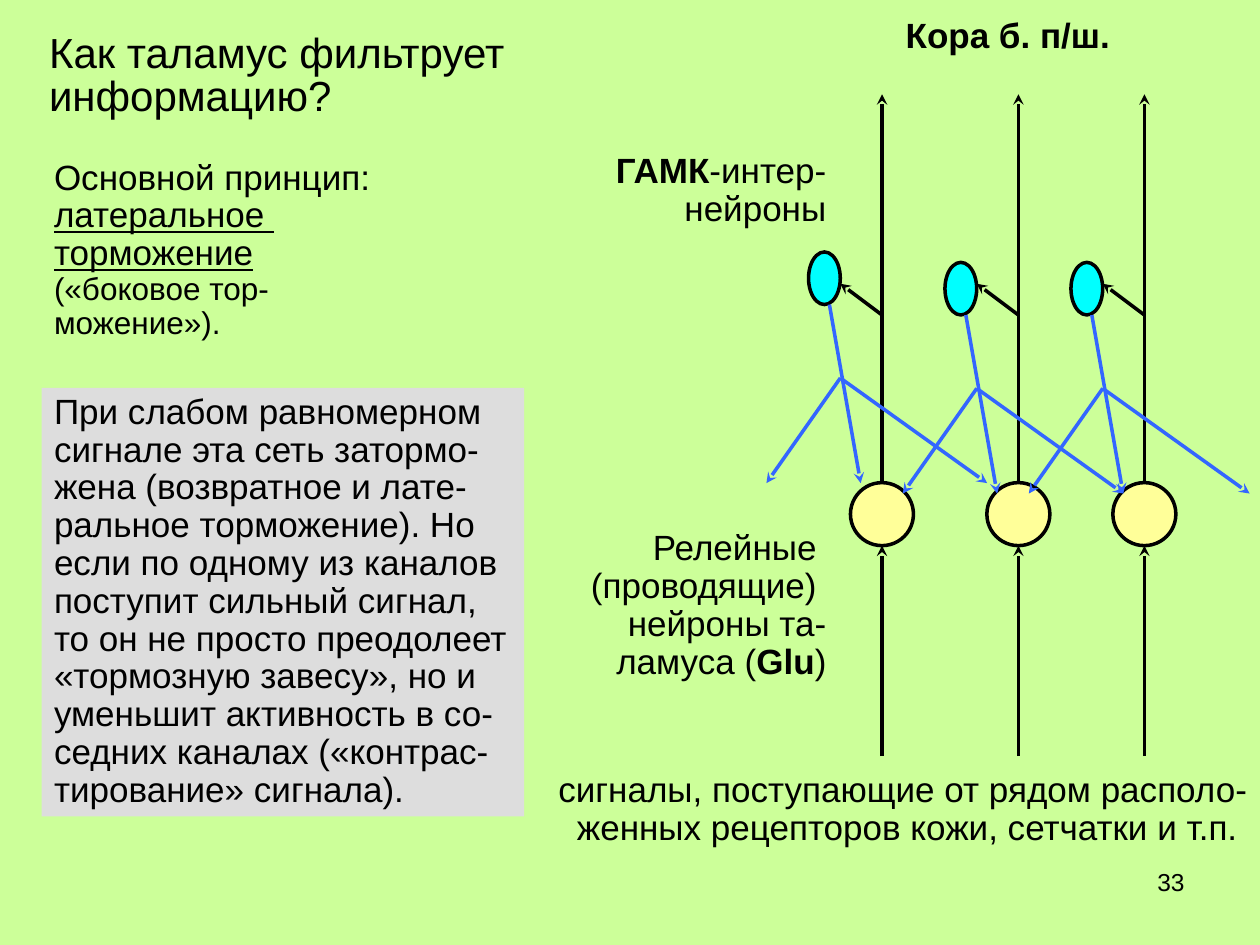
"""Builds a slide on how the thalamus filters information by lateral inhibition."""
from lxml import etree
from pptx import Presentation
from pptx.dml.color import RGBColor
from pptx.enum.shapes import MSO_CONNECTOR, MSO_SHAPE
from pptx.enum.text import MSO_ANCHOR, PP_ALIGN
from pptx.oxml.ns import qn
from pptx.util import Cm, Pt

STRAIGHT = MSO_CONNECTOR.STRAIGHT
OVAL = MSO_SHAPE.OVAL
TOP = MSO_ANCHOR.TOP
LEFT, RIGHT = PP_ALIGN.LEFT, PP_ALIGN.RIGHT

COLOURS = {
    "background": "CCFF99", "ink": "000000", "relay": "FFFF99",
    "interneuron": "00FFFF", "inhibition": "3366FF", "panel": "DDDDDD",
}

PLAIN, BOLD, UNDERLINE = "plain", "bold", "underline"

TEXTS = [
    {"at": (18.21, 17.35, 5.92, 1.32), "align": RIGHT, "spacing": 1.0,
     "paras": [(14, [("33", PLAIN)])]},
    {"at": (0.74, 0.56, 10.03, 1.98), "align": LEFT, "spacing": 0.85,
     "paras": [(24, [("Как таламус фильтрует", PLAIN)]),
               (24, [("информацию?", PLAIN)])]},
    {"at": (0.84, 3.1, 6.88, 3.91), "align": LEFT, "spacing": 0.9,
     "paras": [(20, [("Основной принцип:", PLAIN)]),
               (20, [("латеральное ", UNDERLINE)]),
               (20, [("торможение", UNDERLINE)]),
               (18, [("(«боковое тор-", PLAIN)]),
               (18, [("можение»).", PLAIN)])]},
    {"at": (10.59, 15.44, 14.81, 1.78), "align": RIGHT, "spacing": 0.9,
     "paras": [(20, [("сигналы, поступающие от рядом располо-", PLAIN)]),
               (20, [("женных рецепторов кожи, сетчатки и т.п. ", PLAIN)])]},
    {"at": (11.63, 10.57, 5.28, 3.3), "align": RIGHT, "spacing": 0.9,
     "paras": [(20, [("Релейные ", PLAIN)]),
               (20, [("(проводящие) ", PLAIN)]),
               (20, [("нейроны та-ламуса (", PLAIN), ("Glu", BOLD), (")", PLAIN)])]},
    {"at": (11.63, 2.97, 5.28, 1.78), "align": RIGHT, "spacing": 0.9,
     "paras": [(20, [("ГАМК", BOLD), ("-интер-", PLAIN)]),
               (20, [("нейроны", PLAIN)])]},
    {"at": (17.35, 0.25, 5.28, 1.02), "align": RIGHT, "spacing": 0.9,
     "paras": [(20, [("Кора б. п/ш.", BOLD)])]},
    {"at": (0.84, 7.82, 9.73, 8.64), "align": LEFT, "spacing": 0.9, "fill": "panel",
     "paras": [(20, [(
         "При слабом равномерном сигнале эта сеть затормо-жена (возвратное и "
         "лате-ральное торможение). Но если по одному из каналов поступит "
         "сильный сигнал, то он не просто преодолеет «тормозную завесу», но и "
         "уменьшит активность в со-седних каналах («контрас-тирование» "
         "сигнала).", PLAIN)])]},
]

# Channels: (axis, upward shift of the inhibitory neuron).
CHANNELS = [(17.78, 0.21), (20.53, 0), (23.07, 0)]
RELAY_SIZE, RELAY_TOP = 1.27, 9.73
SIGNAL_START, CORTEX_Y = 15.24, 1.9
BRANCH_Y, BRANCH_TIP = 6.35, (-0.84, 5.72)
CELL_OFFSET, CELL_TOP, CELL_WIDTH, CELL_HEIGHT = -1.16, 5.29, 0.64, 1.06
INHIBITION = [
    ((-0.84, 7.83), (2.12, 9.95)),
    ((-1.06, 6.35), (-0.43, 9.95)),
    ((-0.84, 7.83), (-2.33, 9.95)),
]


def colour(name):
    return RGBColor.from_string(COLOURS[name])


def add_arrow(page, start, end, name="ink"):
    arrow = page.shapes.add_connector(STRAIGHT, *map(Cm, start + end))
    arrow.line.color.rgb = colour(name)
    arrow.line.width = Pt(2)
    outline = arrow.line._get_or_add_ln()
    etree.SubElement(outline, qn("a:tailEnd"), type="stealth")
    etree.SubElement(arrow._element.spPr, qn("a:effectLst"))


def add_neuron(page, centre, top, width, height, name):
    neuron = page.shapes.add_shape(
        OVAL, Cm(centre - width / 2), Cm(top), Cm(width), Cm(height))
    neuron.shadow.inherit = False
    neuron.fill.solid()
    neuron.fill.fore_color.rgb = colour(name)
    neuron.line.color.rgb = colour("ink")
    neuron.line.width = Pt(2)


def add_text(page, item):
    box = page.shapes.add_textbox(*map(Cm, item["at"]))
    if "fill" in item:
        box.fill.solid()
        box.fill.fore_color.rgb = colour(item["fill"])
    frame = box.text_frame
    frame.word_wrap = True
    frame.vertical_anchor = TOP
    for index, (size, spans) in enumerate(item["paras"]):
        para = frame.add_paragraph() if index else frame.paragraphs[0]
        para.alignment = item["align"]
        para.line_spacing = item["spacing"]
        para.font.name = "Arial"
        para.font.size = Pt(size)
        para.font.color.rgb = colour("ink")
        for words, style in spans:
            span = para.add_run()
            span.text = words
            if style == BOLD:
                span.font.bold = True
            elif style == UNDERLINE:
                span.font.underline = True


def add_network(page):
    for axis, _ in CHANNELS:
        add_neuron(page, axis, RELAY_TOP, RELAY_SIZE, RELAY_SIZE, "relay")
        add_arrow(page, (axis, SIGNAL_START), (axis, RELAY_TOP + RELAY_SIZE))
        add_arrow(page, (axis, RELAY_TOP), (axis, CORTEX_Y))
    for axis, shift in CHANNELS:
        tip_x, tip_y = BRANCH_TIP
        add_arrow(page, (axis, BRANCH_Y), (axis + tip_x, tip_y))
        add_neuron(page, axis + CELL_OFFSET, CELL_TOP - shift,
                   CELL_WIDTH, CELL_HEIGHT, "interneuron")
    for axis, shift in CHANNELS:
        for ends in INHIBITION:
            start, end = [(axis + x, y - shift) for x, y in ends]
            add_arrow(page, start, end, "inhibition")


def main():
    deck = Presentation()
    deck.slide_width, deck.slide_height = Cm(25.4), Cm(19.05)
    page = deck.slides.add_slide(deck.slide_layouts[6])
    page.background.fill.solid()
    page.background.fill.fore_color.rgb = colour("background")
    add_network(page)
    for item in TEXTS:
        add_text(page, item)
    deck.save("out.pptx")


if __name__ == "__main__":
    main()
